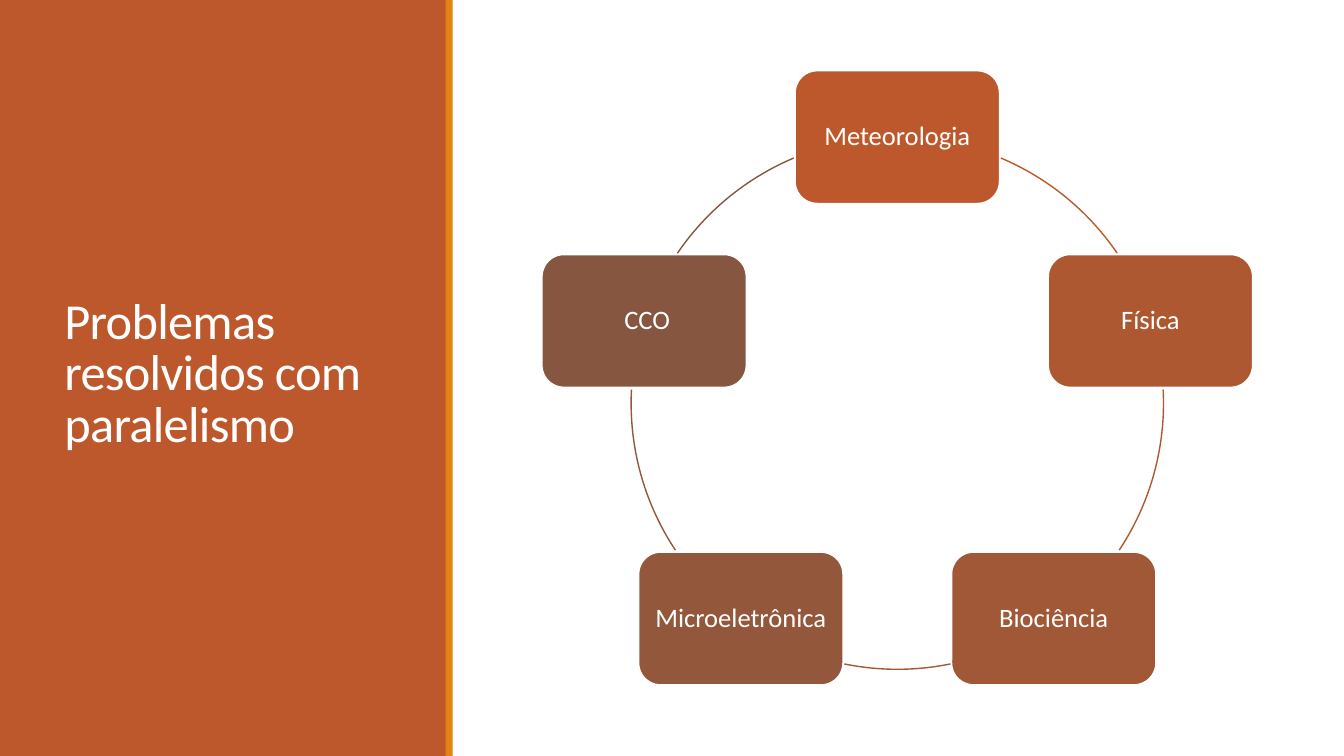
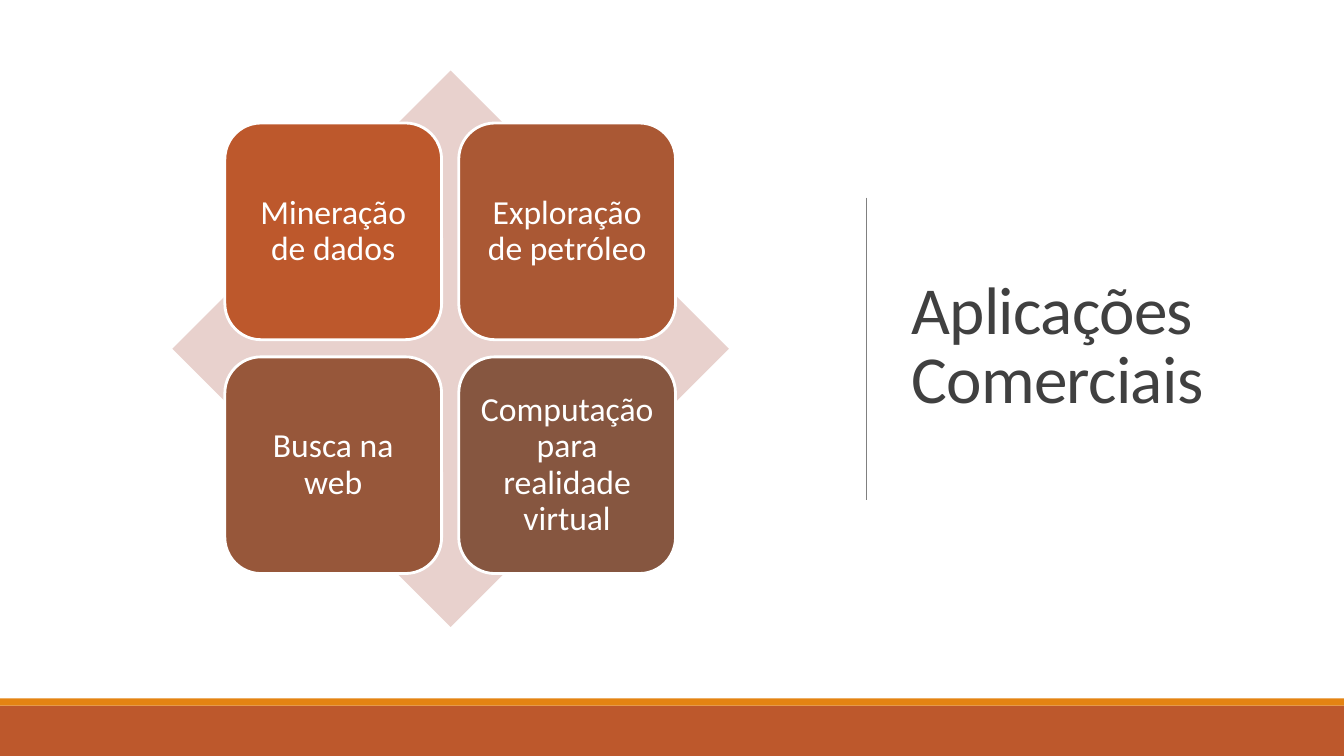
"""Build two slides on parallel computing: a cycle of problems and a grid of applications."""
from dataclasses import dataclass
from math import cos, radians, sin

from lxml import etree
from pptx import Presentation
from pptx.dml.color import RGBColor
from pptx.enum.shapes import MSO_CONNECTOR, MSO_SHAPE
from pptx.enum.text import MSO_ANCHOR, PP_ALIGN
from pptx.oxml.ns import qn
from pptx.util import Inches, Pt

RECTANGLE = MSO_SHAPE.RECTANGLE
ROUNDED = MSO_SHAPE.ROUNDED_RECTANGLE
DIAMOND = MSO_SHAPE.DIAMOND
ARC = MSO_SHAPE.ARC
STRAIGHT = MSO_CONNECTOR.STRAIGHT
MIDDLE = MSO_ANCHOR.MIDDLE
LEFT = PP_ALIGN.LEFT
CENTER = PP_ALIGN.CENTER

FONT = "Calibri"
WHITE = "FFFFFF"
RUST = "BD582C"
ORANGE = "E48312"
BROWN = "865640"
BLUSH = "E8D1CD"
DARK_GRAY = "404040"
RULE_GRAY = "808080"

SLIDE_WIDTH, SLIDE_HEIGHT = 13.33, 7.5
ACCENT = 0.07
ARC_DEGREE = 0.6


@dataclass(frozen=True)
class Area:
    left: float
    top: float
    width: float
    height: float

    def lengths(self):
        return [Inches(value) for value in (self.left, self.top, self.width, self.height)]


@dataclass(frozen=True)
class CardStyle:
    width: float
    height: float
    size: float
    inset: float
    outline: float


@dataclass(frozen=True)
class Topic:
    label: str
    color: str


@dataclass(frozen=True)
class CycleTopic(Topic):
    arc_start: float
    arc_end: float


CYCLE_CARD = CardStyle(2.03, 1.32, 19, 0.08, 1.25)
GRID_CARD = CardStyle(2.15, 2.15, 24, 0.09, 2)

CYCLE_TOPICS = [
    CycleTopic("Meteorologia", RUST, 292.9, 325.7),
    CycleTopic("Física", "AE5832", 357.1, 33.5),
    CycleTopic("Biociência", "A05837", 78.5, 101.5),
    CycleTopic("Microeletrônica", "93573C", 146.5, 182.9),
    CycleTopic(" CCO", BROWN, 214.3, 247.1),
]
GRID_TOPICS = [
    Topic("Mineração de dados", RUST),
    Topic("Exploração de petróleo", "AA5834"),
    Topic("Busca na web", "97573A"),
    Topic("Computação para realidade virtual", BROWN),
]


def rgb(color: str) -> RGBColor:
    return RGBColor.from_string(color)


def add_box(page, kind, area: Area, fill: str = "", line: str = "", weight: float = 1):
    box = page.shapes.add_shape(kind, *area.lengths())
    box.shadow.inherit = False
    if fill:
        box.fill.solid()
        box.fill.fore_color.rgb = rgb(fill)
    else:
        box.fill.background()
    if line:
        box.line.color.rgb = rgb(line)
        box.line.width = Pt(weight)
    else:
        box.line.fill.background()
    return box


def write_text(box, text: str, size: float, color: str, align, spacing: float):
    frame = box.text_frame
    frame.text = text
    frame.word_wrap = True
    frame.vertical_anchor = MIDDLE
    para = frame.paragraphs[0]
    para.alignment = align
    para.line_spacing = spacing
    span = para.runs[0]
    span.font.name = FONT
    span.font.size = Pt(size)
    span.font.color.rgb = rgb(color)
    return span


def add_title(page, area: Area, text: str, size: float, color: str) -> None:
    box = page.shapes.add_textbox(*area.lengths())
    span = write_text(box, text, size, color, LEFT, 0.85)
    span._r.get_or_add_rPr().set("spc", "-50")


def add_card(page, left: float, top: float, topic: Topic, style: CardStyle) -> None:
    area = Area(left, top, style.width, style.height)
    card = add_box(page, ROUNDED, area, topic.color, WHITE, style.outline)
    frame = card.text_frame
    frame.margin_left = frame.margin_right = Inches(style.inset)
    frame.margin_top = frame.margin_bottom = Inches(style.inset)
    write_text(card, topic.label, style.size, WHITE, CENTER, 0.9)


def add_band(page, band: Area, accent: Area) -> None:
    add_box(page, RECTANGLE, band, RUST)
    add_box(page, RECTANGLE, accent, ORANGE)


def add_rule(page, x: float, top: float, bottom: float) -> None:
    rule = page.shapes.add_connector(STRAIGHT, Inches(x), Inches(top), Inches(x), Inches(bottom))
    rule.line.color.rgb = rgb(RULE_GRAY)
    rule.line.width = Pt(0.5)
    etree.SubElement(rule._element.spPr, qn("a:effectLst"))


def add_cycle(page, center_x: float, center_y: float, radius: float) -> None:
    ring = Area(center_x - radius, center_y - radius, 2 * radius, 2 * radius)
    for index, topic in enumerate(CYCLE_TOPICS):
        angle = radians(360 / len(CYCLE_TOPICS) * index - 90)
        left = center_x + radius * cos(angle) - CYCLE_CARD.width / 2
        top = center_y + radius * sin(angle) - CYCLE_CARD.height / 2
        add_card(page, left, top, topic, CYCLE_CARD)
        arc = add_box(page, ARC, ring, line=topic.color)
        arc.adjustments[0] = topic.arc_start * ARC_DEGREE
        arc.adjustments[1] = topic.arc_end * ARC_DEGREE


def add_grid(page, left: float, top: float, step: float) -> None:
    for index, topic in enumerate(GRID_TOPICS):
        row, column = divmod(index, 2)
        add_card(page, left + column * step, top + row * step, topic, GRID_CARD)


def build_problems(page) -> None:
    add_band(page, Area(0, 0, 4.43, SLIDE_HEIGHT), Area(4.42, 0, ACCENT, SLIDE_HEIGHT))
    add_title(page, Area(0.54, 0.57, 3.37, 6.31), "Problemas resolvidos com paralelismo", 36, WHITE)
    add_cycle(page, 8.9, 4, 2.64)


def build_applications(page) -> None:
    add_title(page, Area(8.94, 0.69, 3.69, 5.53), "Aplicações Comerciais", 48, DARK_GRAY)
    add_rule(page, 8.59, 1.96, 4.96)
    add_band(page, Area(0, 7, SLIDE_WIDTH, 0.5), Area(0, 7 - ACCENT, SLIDE_WIDTH, ACCENT))
    add_box(page, DIAMOND, Area(1.71, 0.7, 5.52, 5.52), BLUSH)
    add_grid(page, 2.23, 1.22, 2.32)


def main() -> None:
    deck = Presentation()
    deck.slide_width = Inches(SLIDE_WIDTH)
    deck.slide_height = Inches(SLIDE_HEIGHT)
    blank = deck.slide_layouts[6]
    for build in (build_problems, build_applications):
        build(deck.slides.add_slide(blank))
    deck.save("out.pptx")


if __name__ == "__main__":
    main()
